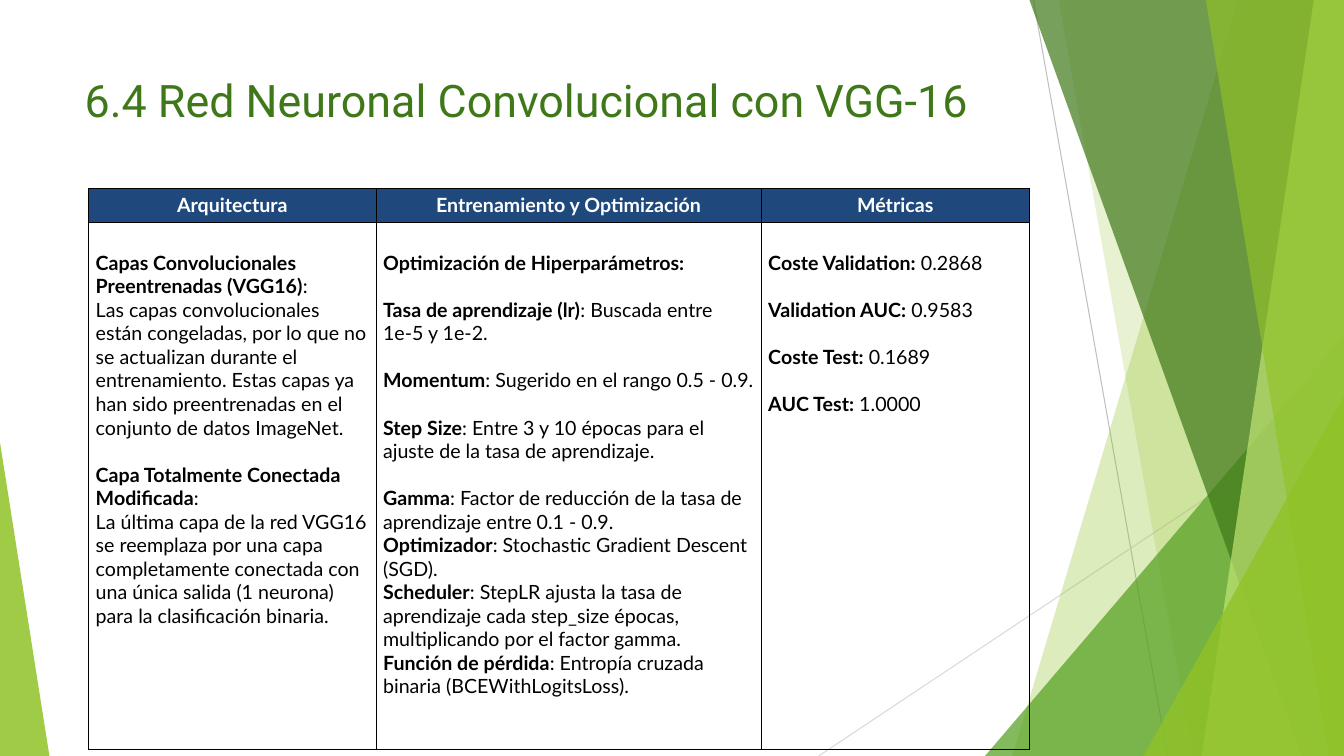
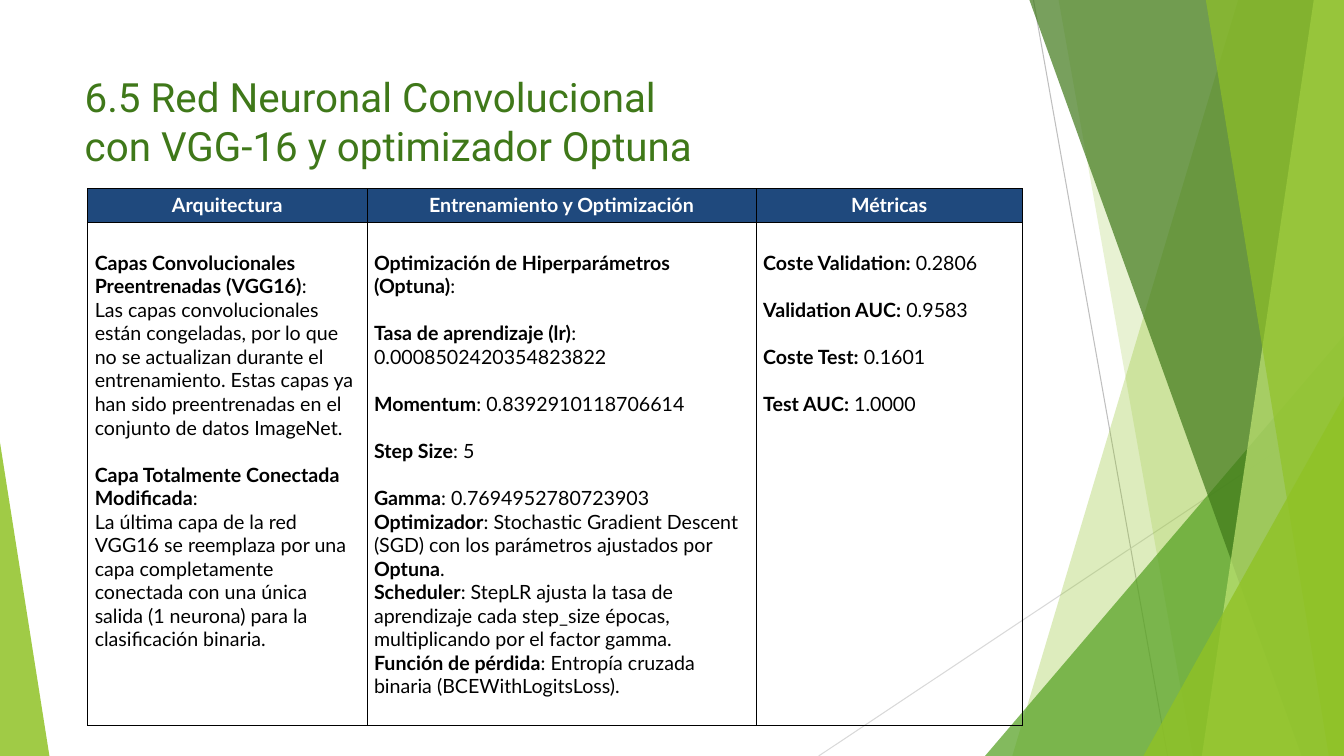
from dataclasses import dataclass

from lxml.etree import SubElement
from pptx import Presentation
from pptx.dml.color import RGBColor
from pptx.enum.shapes import MSO_CONNECTOR, MSO_SHAPE
from pptx.enum.text import MSO_ANCHOR, MSO_AUTO_SIZE, PP_ALIGN
from pptx.oxml import parse_xml
from pptx.oxml.ns import nsdecls, qn
from pptx.util import Pt

PX = 9144  # EMU per px, 100 px to the inch
WIDTH, HEIGHT = 1333, 750
TOP = 187
HEAD = 34


@dataclass(frozen=True)
class Theme:
    head_font: str = "Roboto"
    body_font: str = "Lato"
    title_size: float = 32
    small_title: float = 28.8
    body_size: float = 14
    line_gap: float = 16.8
    rule: float = 0.75
    black: str = "000000"
    white: str = "FFFFFF"
    navy: str = "1F497D"
    lime: str = "90C226"
    pale: str = "C0E474"
    green: str = "54A021"
    dark: str = "3F7819"
    gray: str = "BFBFBF"
    light: str = "D9D9D9"


THEME = Theme()


def rgb(color):
    return RGBColor.from_string(color)


def write(frame, text, font, size, color, bold=False, align=PP_ALIGN.LEFT, gap=0):
    """Fill a frame: *stars* mark bold, a double newline opens a gap."""
    first = True
    for block in text.split("\n\n"):
        for row, line in enumerate(block.split("\n")):
            para = frame.paragraphs[0] if first else frame.add_paragraph()
            para.alignment = align
            para.space_before = Pt(0 if first or row else gap)
            first = False
            for index, part in enumerate(line.split("*")):
                for turn, piece in enumerate(part.split("\v")):
                    if turn:
                        para.add_line_break()
                    if not piece:
                        continue
                    run = para.add_run()
                    run.text = piece
                    run.font.name = font
                    run.font.size = Pt(size)
                    run.font.bold = bold or index % 2 == 1
                    run.font.color.rgb = rgb(color)


class Deck:
    def __init__(self, theme):
        self.theme = theme
        self.deck = Presentation()
        self.deck.slide_width = WIDTH * PX
        self.deck.slide_height = HEIGHT * PX
        self.layout = self.deck.slide_layouts[5]
        for holder in list(self.layout.placeholders):
            if holder.placeholder_format.idx != 0:
                self.layout.shapes.element.remove(holder.element)
        self.slide = None

    def page(self):
        self.slide = self.deck.slides.add_slide(self.layout)

    def title(self, text, width, size):
        title = self.slide.shapes.title
        title.left, title.top = 74 * PX, 67 * PX
        title.width, title.height = width * PX, 65 * PX
        frame = title.text_frame
        frame.auto_size = MSO_AUTO_SIZE.NONE
        frame.vertical_anchor = MSO_ANCHOR.TOP
        frame.word_wrap = True
        write(frame, text, font=self.theme.head_font, size=size, color=self.theme.dark)

    def line(self, start, end, color):
        ends = [value * PX for value in (*start, *end)]
        line = self.slide.shapes.add_connector(MSO_CONNECTOR.STRAIGHT, *ends)
        line.line.color.rgb = rgb(color)
        line.line.width = Pt(self.theme.rule)
        SubElement(line.element.spPr, qn("a:effectLst"))

    def paint(self, shape, color, alpha):
        shape.shadow.inherit = False
        shape.line.fill.background()
        shape.fill.solid()
        shape.fill.fore_color.rgb = rgb(color)
        tone = shape.element.xpath("./p:spPr/a:solidFill/a:srgbClr")[0]
        SubElement(tone, qn("a:alpha")).set("val", str(alpha * 1000))

    def band(self, top, foot, color, alpha):
        """Draw a full-height band from a slanted edge to the right border."""
        pen = self.slide.shapes.build_freeform(top, 0, scale=PX)
        pen.add_line_segments([(WIDTH, 0), (WIDTH, HEIGHT), (foot, HEIGHT)], close=True)
        self.paint(pen.convert_to_shape(), color, alpha)

    def wedge(self, left, top, width, apex, color, alpha):
        """Draw a triangle that stands on the bottom border."""
        box = [value * PX for value in (left, top, width, HEIGHT - top)]
        shape = self.slide.shapes.add_shape(MSO_SHAPE.ISOSCELES_TRIANGLE, *box)
        shape.adjustments[0] = apex
        self.paint(shape, color, alpha)

    def facets(self):
        """Draw the shared backdrop and move it to the layout."""
        look = self.theme
        self.line((1025, 0), (1158, HEIGHT), look.gray)
        self.line((WIDTH, 403), (812, HEIGHT), look.light)
        self.band(1228, 1004, look.lime, 30)
        self.band(1050, 1183, look.lime, 20)
        self.wedge(977, 333, 356, 1, look.green, 72)
        self.band(1021, 1291, look.dark, 70)
        self.band(1303, 1192, look.pale, 70)
        self.band(1196, 1318, look.lime, 65)
        self.wedge(1134, 393, 199, 1, look.lime, 80)
        self.wedge(0, 439, 49, 0, look.lime, 85)
        for shape in list(self.slide.shapes):
            if not shape.is_placeholder:
                self.layout.shapes.element.append(shape.element)

    def frame(self, cell):
        """Give a cell its four borders."""
        props = cell._tc.get_or_add_tcPr()
        for place, side in enumerate("LRTB"):
            props.insert(place, parse_xml(
                f'<a:ln{side} {nsdecls("a")} w="{Pt(self.theme.rule)}"><a:solidFill>'
                f'<a:srgbClr val="{self.theme.black}"/></a:solidFill></a:ln{side}>'))

    def table(self, left, widths, height, heads, texts):
        look = self.theme
        box = [value * PX for value in (left, TOP, sum(widths), height)]
        grid = self.slide.shapes.add_table(2, len(widths), *box).table
        grid.first_row = grid.horz_banding = False
        for column, width in zip(grid.columns, widths):
            column.width = width * PX
        grid.rows[0].height = HEAD * PX
        grid.rows[1].height = (height - HEAD) * PX
        styles = (dict(color=look.white, bold=True, align=PP_ALIGN.CENTER),
                  dict(color=look.black, gap=look.line_gap))
        for row, (line, style) in enumerate(zip((heads, texts), styles)):
            for col, text in enumerate(line):
                cell = grid.cell(row, col)
                cell.margin_left = cell.margin_right = 7 * PX
                cell.margin_top = (28 if row else 5) * PX
                cell.margin_bottom = 5 * PX
                if row:
                    cell.fill.background()
                else:
                    cell.fill.solid()
                    cell.fill.fore_color.rgb = rgb(look.navy)
                self.frame(cell)
                write(cell.text_frame, text, font=look.body_font,
                      size=look.body_size, **style)

    def save(self):
        self.deck.save("out.pptx")


HEADS = ("Arquitectura", "Entrenamiento y Optimización", "Métricas")

LAYERS = """*Capas Convolucionales Preentrenadas (VGG16)*:
Las capas convolucionales están congeladas, por lo que no se actualizan durante el entrenamiento. Estas capas ya han sido preentrenadas en el conjunto de datos ImageNet.

*Capa Totalmente Conectada Modificada*:
La última capa de la red VGG16 se reemplaza por una capa completamente conectada con una única salida (1 neurona) para la clasificación binaria."""

COMMON = """
*Scheduler*: StepLR ajusta la tasa de aprendizaje cada step_size épocas, multiplicando por el factor gamma.
*Función de pérdida*: Entropía cruzada binaria (BCEWithLogitsLoss)."""

MANUAL = """*Optimización de Hiperparámetros:*

*Tasa de aprendizaje (lr)*: Buscada entre 1e-5 y 1e-2.

*Momentum*: Sugerido en el rango 0.5 - 0.9.

*Step Size*: Entre 3 y 10 épocas para el ajuste de la tasa de aprendizaje.

*Gamma*: Factor de reducción de la tasa de aprendizaje entre 0.1 - 0.9.
*Optimizador*: Stochastic Gradient Descent (SGD).""" + COMMON

TUNED = """*Optimización de Hiperparámetros (Optuna)*:

*Tasa de aprendizaje (lr)*: 0.0008502420354823822

*Momentum*: 0.8392910118706614

*Step Size*: 5

*Gamma*: 0.7694952780723903
*Optimizador*: Stochastic Gradient Descent (SGD) con los parámetros ajustados por *Optuna*.""" + COMMON


def scores(**values):
    """Join metrics, one a block, with names in bold."""
    return "\n\n".join(f"*{name.replace('_', ' ')}:* {value}"
                       for name, value in values.items())


def main():
    deck = Deck(THEME)
    deck.page()
    deck.facets()
    deck.title("6.4 Red Neuronal Convolucional con VGG-16", 910, THEME.title_size)
    deck.table(88, (285, 382, 266), 557, HEADS, (LAYERS, MANUAL, scores(
        Coste_Validation="0.2868", Validation_AUC="0.9583",
        Coste_Test="0.1689", AUC_Test="1.0000")))

    deck.page()
    deck.title("6.5 Red Neuronal Convolucional\vcon VGG-16 y optimizador Optuna",
               669, THEME.small_title)
    deck.table(87, (277, 386, 264), 533, HEADS, (LAYERS, TUNED, scores(
        Coste_Validation="0.2806", Validation_AUC="0.9583",
        Coste_Test="0.1601", Test_AUC="1.0000")))
    deck.save()


if __name__ == "__main__":
    main()
